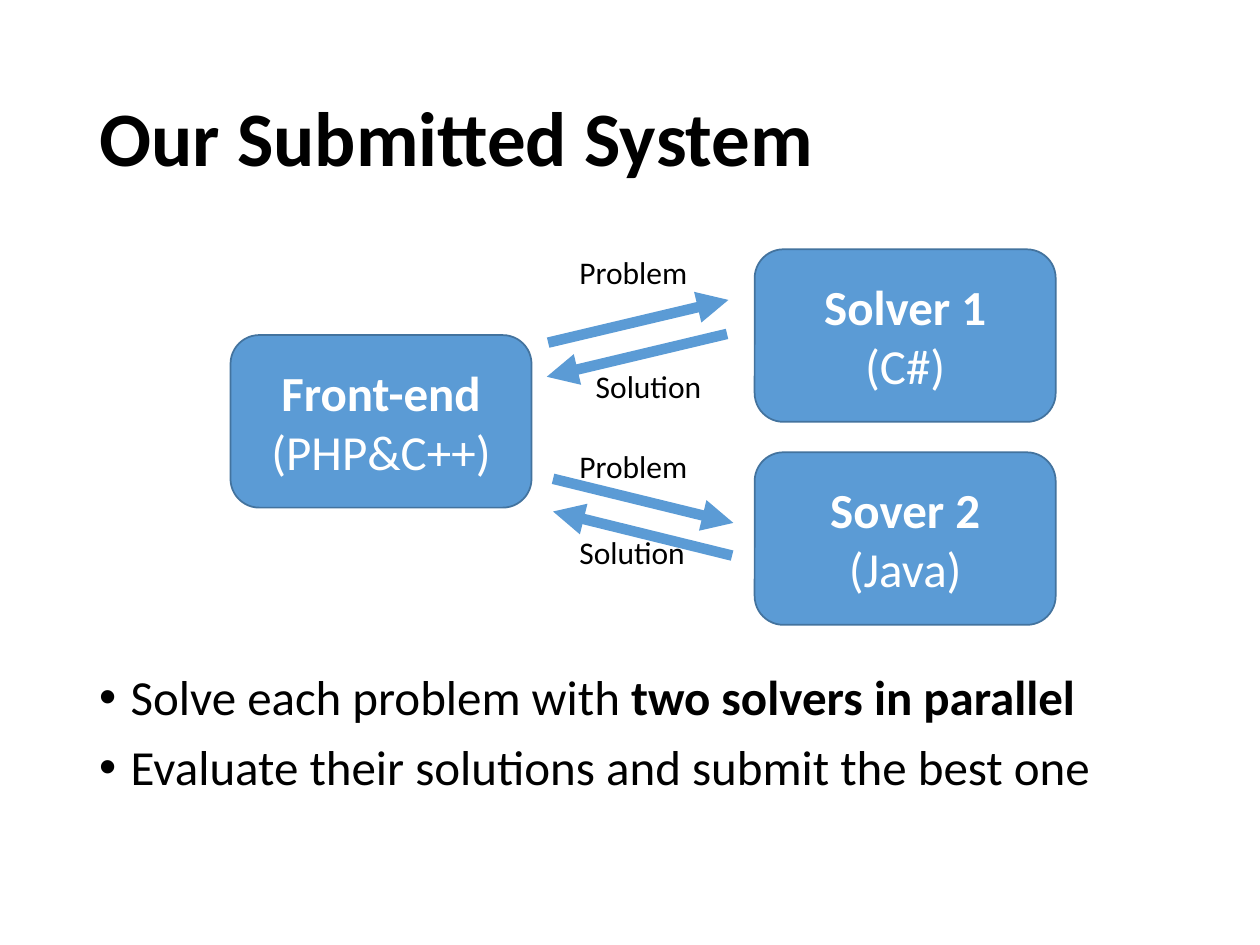
from pptx import Presentation
from pptx.dml.color import RGBColor
from pptx.enum.shapes import MSO_CONNECTOR as Connector, MSO_SHAPE as Shape
from pptx.enum.text import MSO_ANCHOR as Anchor, MSO_AUTO_SIZE as AutoSize, PP_ALIGN as Align
from pptx.oxml.ns import qn
from pptx.util import Pt
from lxml.etree import SubElement

BLUE, EDGE, WHITE, BLACK = "5B9BD5", "43739E", "FFFFFF", "000000"
NODE_WIDTH, NODE_HEIGHT = 172, 98.6


def color(hex_value):
    return RGBColor.from_string(hex_value)


def place(shape, box):
    shape.left, shape.top, shape.width, shape.height = map(Pt, box)


def add_run(paragraph, text, size, hex_value=BLACK, bold=False):
    run = paragraph.add_run()
    run.text = text
    run.font.name = "Calibri"
    run.font.size = Pt(size)
    run.font.bold = bold
    run.font.color.rgb = color(hex_value)


def write_lines(frame, lines, size, hex_value=BLACK):
    for index, runs in enumerate(lines):
        paragraph = frame.add_paragraph() if index else frame.paragraphs[0]
        for text, bold in runs:
            add_run(paragraph, text, size, hex_value, bold)


def fill_title(slide, box, text):
    title = slide.shapes.title
    place(title, box)
    title.text_frame.vertical_anchor = Anchor.MIDDLE
    write_lines(title.text_frame, [[(text, True)]], 44)
    paragraph = title.text_frame.paragraphs[0]
    paragraph.alignment = Align.LEFT
    paragraph.line_spacing = 0.9


def fill_bullets(slide, box, lines):
    body = slide.placeholders[1]
    place(body, box)
    write_lines(body.text_frame, lines, 28)
    for paragraph in body.text_frame.paragraphs:
        paragraph.line_spacing = 0.9
        paragraph.space_before = Pt(10)
        properties = paragraph._p.get_or_add_pPr()
        properties.set("marL", str(Pt(18)))
        properties.set("indent", str(-Pt(18)))
        SubElement(properties, qn("a:buFont")).set("typeface", "Arial")
        SubElement(properties, qn("a:buChar")).set("char", "•")


def add_node(slide, left, top, name, language):
    node = slide.shapes.add_shape(
        Shape.FLOWCHART_ALTERNATE_PROCESS, Pt(left), Pt(top), Pt(NODE_WIDTH), Pt(NODE_HEIGHT))
    node.shadow.inherit = False
    node.fill.solid()
    node.fill.fore_color.rgb = color(BLUE)
    node.line.color.rgb = color(EDGE)
    node.line.width = Pt(1)
    frame = node.text_frame
    frame.word_wrap = True
    frame.vertical_anchor = Anchor.MIDDLE
    write_lines(frame, [[(name, True)], [(language, False)]], 28, WHITE)
    for paragraph in frame.paragraphs:
        paragraph.alignment = Align.CENTER


def add_arrow(slide, start_x, start_y, end_x, end_y):
    arrow = slide.shapes.add_connector(
        Connector.STRAIGHT, Pt(start_x), Pt(start_y), Pt(end_x), Pt(end_y))
    arrow.line.color.rgb = color(BLUE)
    arrow.line.width = Pt(6)
    SubElement(arrow.line._get_or_add_ln(), qn("a:tailEnd")).set("type", "triangle")
    SubElement(arrow._element.spPr, qn("a:effectLst"))


def add_label(slide, left, top, text):
    label = slide.shapes.add_textbox(Pt(left), Pt(top), Pt(77), Pt(29))
    label.text_frame.word_wrap = False
    label.text_frame.auto_size = AutoSize.SHAPE_TO_FIT_TEXT
    write_lines(label.text_frame, [[(text, False)]], 18)


def draw_system(slide, left, top):
    nodes = [
        (0, 49, "Front-end", "(PHP&C++)"),
        (299.5, 0, "Solver 1", "(C#)"),
        (299.5, 116, "Sover 2", "(Java)"),
    ]
    messages = [
        ("Problem", (192.25, -1.5), (181.5, 53.3), (284.5, 28.9)),
        ("Problem", (192.25, 109.5), (184.3, 131.1), (287.3, 156.3)),
        ("Solution", (201.6, 63.4), (283.7, 48.3), (180.7, 72.8)),
        ("Solution", (192.25, 158.5), (286.6, 175), (184.3, 149.8)),
    ]
    for x, y, name, language in nodes:
        add_node(slide, left + x, top + y, name, language)
    for text, label, start, end in messages:
        add_arrow(slide, left + start[0], top + start[1], left + end[0], top + end[1])
        add_label(slide, left + label[0], top + label[1], text)


presentation = Presentation()
presentation.slide_width, presentation.slide_height = Pt(720), Pt(540)
slide = presentation.slides.add_slide(presentation.slide_layouts[1])
fill_title(slide, (49.5, 28.8, 621, 104.4), "Our Submitted System")
fill_bullets(slide, (49.5, 381, 621, 105), [
    [("Solve each problem with ", False), ("two solvers in parallel", True)],
    [("Evaluate their solutions and submit the best one", False)],
])
draw_system(slide, 131.75, 142.5)
presentation.save("out.pptx")
